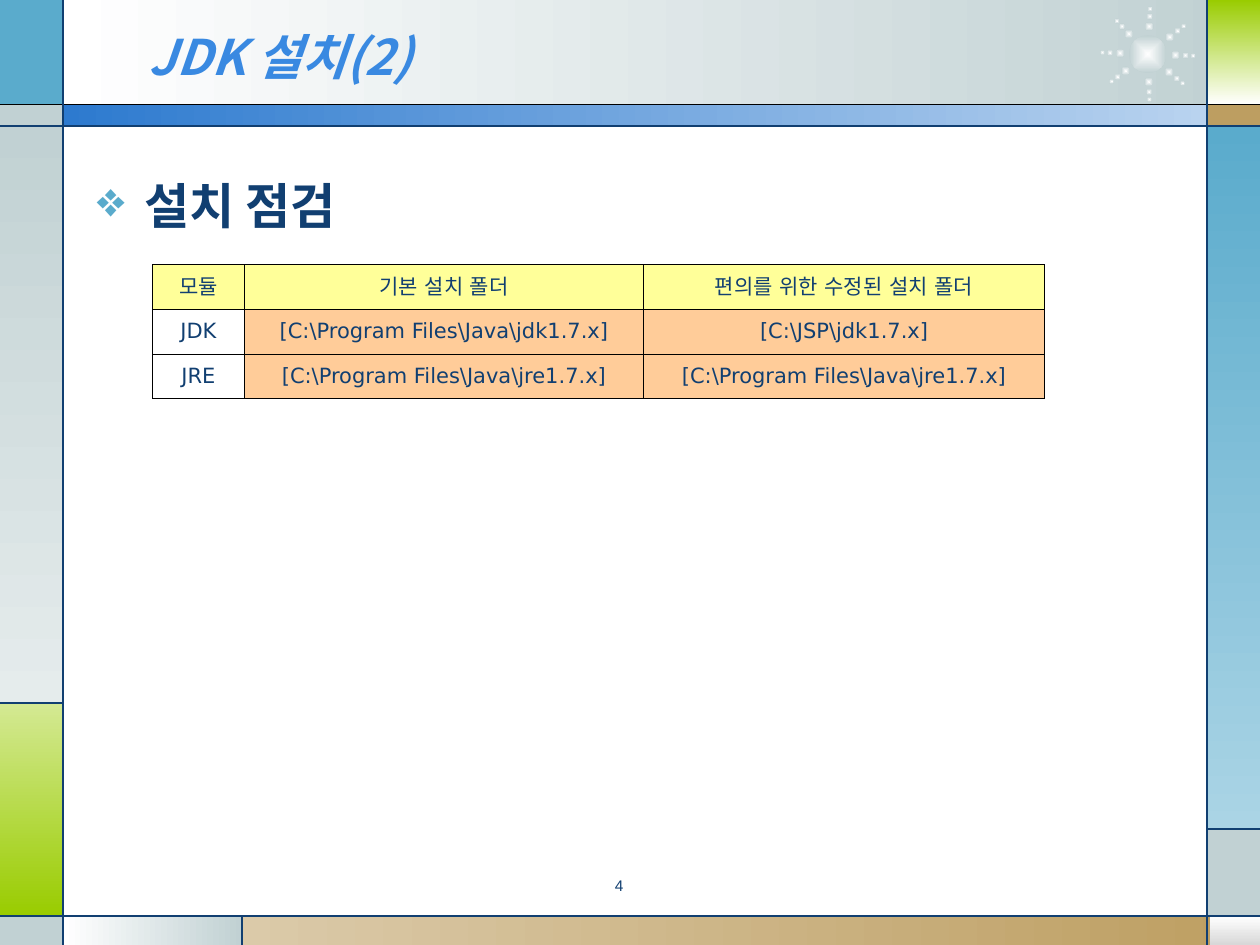
from math import cos, radians, sin

from lxml.etree import SubElement
from pptx import Presentation
from pptx.dml.color import RGBColor
from pptx.enum.shapes import MSO_CONNECTOR, MSO_SHAPE
from pptx.enum.text import MSO_ANCHOR, MSO_AUTO_SIZE, PP_ALIGN
from pptx.oxml.ns import qn
from pptx.util import Inches, Pt

WHITE = RGBColor(0xFF, 0xFF, 0xFF)
BLACK = RGBColor(0, 0, 0)
NAVY = RGBColor(0x11, 0x3F, 0x71)
TITLE_BLUE = RGBColor(0x39, 0x89, 0xE1)
SKY = RGBColor(0x5A, 0xAB, 0xCC)
PALE_SKY = RGBColor(0xAA, 0xD4, 0xE5)
BLUE = RGBColor(0x2D, 0x7A, 0xCF)
PALE_BLUE = RGBColor(0xB9, 0xD3, 0xEF)
GRAY = RGBColor(0xC1, 0xD1, 0xD3)
PALE_GRAY = RGBColor(0xE5, 0xEC, 0xEC)
SILVER = RGBColor(0xD8, 0xD8, 0xD8)
GREEN = RGBColor(0x99, 0xCC, 0x00)
PALE_GREEN = RGBColor(0xD4, 0xE9, 0x93)
TAN = RGBColor(0xBD, 0x9E, 0x61)
PALE_TAN = RGBColor(0xDB, 0xCA, 0xA9)
YELLOW = RGBColor(0xFF, 0xFF, 0x99)
ORANGE = RGBColor(0xFF, 0xCC, 0x99)

KOREAN_FONT = "Noto Sans CJK KR"
TITLE = "JDK 설치(2)"
HEADING = "설치 점검"
PAGE = "4"
FOLDERS = [
    ["모듈", "기본 설치 폴더", "편의를 위한 수정된 설치 폴더"],
    ["JDK", r"[C:\Program Files\Java\jdk1.7.x]", r"[C:\JSP\jdk1.7.x]"],
    ["JRE", r"[C:\Program Files\Java\jre1.7.x]", r"[C:\Program Files\Java\jre1.7.x]"],
]
COLUMN_WIDTHS = [0.73, 3.17, 3.18]
ROW_HEIGHT = 0.355

# Edges shared by the frame panels and rules
LEFT, RIGHT, WIDTH, HEIGHT = 0.5, 9.58, 10, 7.5
HEADER, BAND, FOOTER = 0.83, 1, 7.27
LEFT_SPLIT, RIGHT_SPLIT, FOOTER_SPLIT = 5.58, 6.58, 1.92
ACROSS, DOWN = 0, 270

# left, top, right, bottom, colours, gradient direction
PANELS = [
    (LEFT, 0, 9.77, HEADER, (WHITE, GRAY), ACROSS),
    (0, 0, LEFT, HEADER, (SKY,), None),
    (0, HEADER, LEFT, BAND, (GRAY,), None),
    (0, BAND, LEFT, LEFT_SPLIT, (GRAY, PALE_GRAY), DOWN),
    (0, LEFT_SPLIT, LEFT, FOOTER, (PALE_GREEN, GREEN), DOWN),
    (0, FOOTER, LEFT, HEIGHT, (GRAY,), None),
    (LEFT, FOOTER, FOOTER_SPLIT, HEIGHT, (WHITE, GRAY), ACROSS),
    (FOOTER_SPLIT, FOOTER, WIDTH, HEIGHT, (PALE_TAN, TAN), ACROSS),
    (9.6, FOOTER, WIDTH, HEIGHT, (WHITE, SILVER), DOWN),
    (RIGHT, RIGHT_SPLIT, WIDTH, FOOTER, (GRAY,), None),
    (RIGHT, BAND, WIDTH, RIGHT_SPLIT, (SKY, PALE_SKY), DOWN),
    (RIGHT, HEADER, WIDTH, BAND, (TAN,), None),
    (RIGHT, 0, WIDTH, HEADER, (GREEN, WHITE), DOWN),
    (LEFT, HEADER, RIGHT, BAND, (BLUE, PALE_BLUE), ACROSS),
]
RULES = [
    (0, HEADER, WIDTH, HEADER, BLACK),
    (0, BAND, WIDTH, BAND, NAVY),
    (0, FOOTER, WIDTH, FOOTER, NAVY),
    (LEFT, 0, LEFT, HEIGHT, NAVY),
    (RIGHT, 0, RIGHT, HEIGHT, NAVY),
    (0, LEFT_SPLIT, LEFT, LEFT_SPLIT, NAVY),
    (FOOTER_SPLIT, FOOTER, FOOTER_SPLIT, HEIGHT, NAVY),
    (RIGHT, RIGHT_SPLIT, WIDTH, RIGHT_SPLIT, NAVY),
]
STAR_X, STAR_Y, STAR_CORE = 9.11, 0.43, 0.3
RAY_ANGLES = [2, 40, 88, 143, 182, 227, 273, 322]
RAY_DOTS = [(0.22, 0.07), (0.3, 0.05), (0.36, 0.04)]  # distance, diameter


def add_filled(slide, kind, left, top, width, height, colors, angle=None):
    shape = slide.shapes.add_shape(kind, *map(Inches, (left, top, width, height)))
    shape.shadow.inherit = False
    shape.line.fill.background()
    if len(colors) == 1:
        shape.fill.solid()
        shape.fill.fore_color.rgb = colors[0]
        return shape
    shape.fill.gradient()
    for stop, color in zip(shape.fill.gradient_stops, colors):
        stop.color.rgb = color
    if angle is not None:
        shape.fill.gradient_angle = angle
    return shape


def add_glow(slide, x, y, size):
    """Add a dot centred on x, y that is white in the middle."""
    dot = add_filled(slide, MSO_SHAPE.OVAL, x - size / 2, y - size / 2, size, size,
                     (WHITE, GRAY))
    gradient = dot._element.spPr.find(qn("a:gradFill"))
    gradient.remove(gradient.find(qn("a:lin")))
    center = SubElement(gradient, qn("a:path"), path="rect")
    SubElement(center, qn("a:fillToRect"), l="50000", t="50000", r="50000", b="50000")


def add_rule(slide, x1, y1, x2, y2, color):
    rule = slide.shapes.add_connector(MSO_CONNECTOR.STRAIGHT,
                                      *map(Inches, (x1, y1, x2, y2)))
    rule.line.color.rgb = color
    rule.line.width = Pt(0.75)
    SubElement(rule._element.spPr, qn("a:effectLst"))


def add_frame(slide):
    for left, top, right, bottom, colors, angle in PANELS:
        add_filled(slide, MSO_SHAPE.RECTANGLE, left, top, right - left, bottom - top,
                   colors, angle)
    add_glow(slide, STAR_X, STAR_Y, STAR_CORE)
    for angle in map(radians, RAY_ANGLES):
        for distance, size in RAY_DOTS:
            add_glow(slide, STAR_X + distance * cos(angle),
                     STAR_Y + distance * sin(angle), size)
    for rule in RULES:
        add_rule(slide, *rule)


def style(paragraph, name, size, color, align, bold=False, italic=False):
    paragraph.alignment = align
    font = paragraph.font
    font.name, font.size, font.bold, font.italic = name, Pt(size), bold, italic
    font.color.rgb = color
    SubElement(font._element, qn("a:ea"), typeface=name)


def add_title(slide):
    title = slide.shapes.title
    slide.shapes._spTree.append(title._element)  # in front of the frame
    title.left, title.top, title.width, title.height = map(Inches, (1.08, 0.13, 7.33, 0.62))
    title.text_frame.text = TITLE
    title.text_frame.auto_size = MSO_AUTO_SIZE.NONE
    title.text_frame.vertical_anchor = MSO_ANCHOR.MIDDLE
    style(title.text_frame.paragraphs[0], KOREAN_FONT, 28, TITLE_BLUE, PP_ALIGN.LEFT,
          bold=True, italic=True)


def add_text(slide, text, left, top, width, height):
    frame = slide.shapes.add_textbox(*map(Inches, (left, top, width, height))).text_frame
    frame.word_wrap = True
    frame.text = text
    return frame.paragraphs[0]


def add_heading(slide):
    heading = add_text(slide, HEADING, 0.67, 1.34, 8.77, 5.38)
    properties = heading._p.get_or_add_pPr()
    properties.set("marL", str(Inches(0.38)))
    properties.set("indent", str(-Inches(0.38)))
    bullet_color = SubElement(properties, qn("a:buClr"))
    SubElement(bullet_color, qn("a:srgbClr"), val=str(SKY))
    SubElement(properties, qn("a:buChar"), char="❖")
    style(heading, KOREAN_FONT, 28, NAVY, PP_ALIGN.LEFT, bold=True)


def add_borders(cell):
    properties = cell._tc.get_or_add_tcPr()
    for position, side in enumerate(("a:lnL", "a:lnR", "a:lnT", "a:lnB")):
        border = SubElement(properties, qn(side), w=str(Pt(0.45)))
        fill = SubElement(border, qn("a:solidFill"))
        SubElement(fill, qn("a:srgbClr"), val=str(BLACK))
        properties.insert(position, border)


def add_folder_table(slide):
    table = slide.shapes.add_table(
        len(FOLDERS), len(COLUMN_WIDTHS), Inches(1.21), Inches(2.1),
        Inches(sum(COLUMN_WIDTHS)), Inches(ROW_HEIGHT * len(FOLDERS))).table
    table.first_row = table.horz_banding = False
    for column, width in zip(table.columns, COLUMN_WIDTHS):
        column.width = Inches(width)
    for r, texts in enumerate(FOLDERS):
        table.rows[r].height = Inches(ROW_HEIGHT)
        for c, text in enumerate(texts):
            cell = table.cell(r, c)
            cell.text = text
            cell.vertical_anchor = MSO_ANCHOR.MIDDLE
            cell.margin_left = cell.margin_right = Inches(0.07)
            style(cell.text_frame.paragraphs[0], "DejaVu Sans", 12, NAVY, PP_ALIGN.CENTER)
            if r and not c:
                cell.fill.background()
            else:
                cell.fill.solid()
                cell.fill.fore_color.rgb = ORANGE if r else YELLOW
            add_borders(cell)


def main():
    deck = Presentation()
    deck.slide_width, deck.slide_height = Inches(WIDTH), Inches(HEIGHT)
    slide = deck.slides.add_slide(deck.slide_layouts[5])
    add_frame(slide)
    add_title(slide)
    add_heading(slide)
    add_folder_table(slide)
    page = add_text(slide, PAGE, 3.75, 6.93, 2.33, 0.27)
    page.line_spacing = 0.8
    style(page, "Arial", 8.8, NAVY, PP_ALIGN.CENTER)
    deck.save("out.pptx")


if __name__ == "__main__":
    main()
